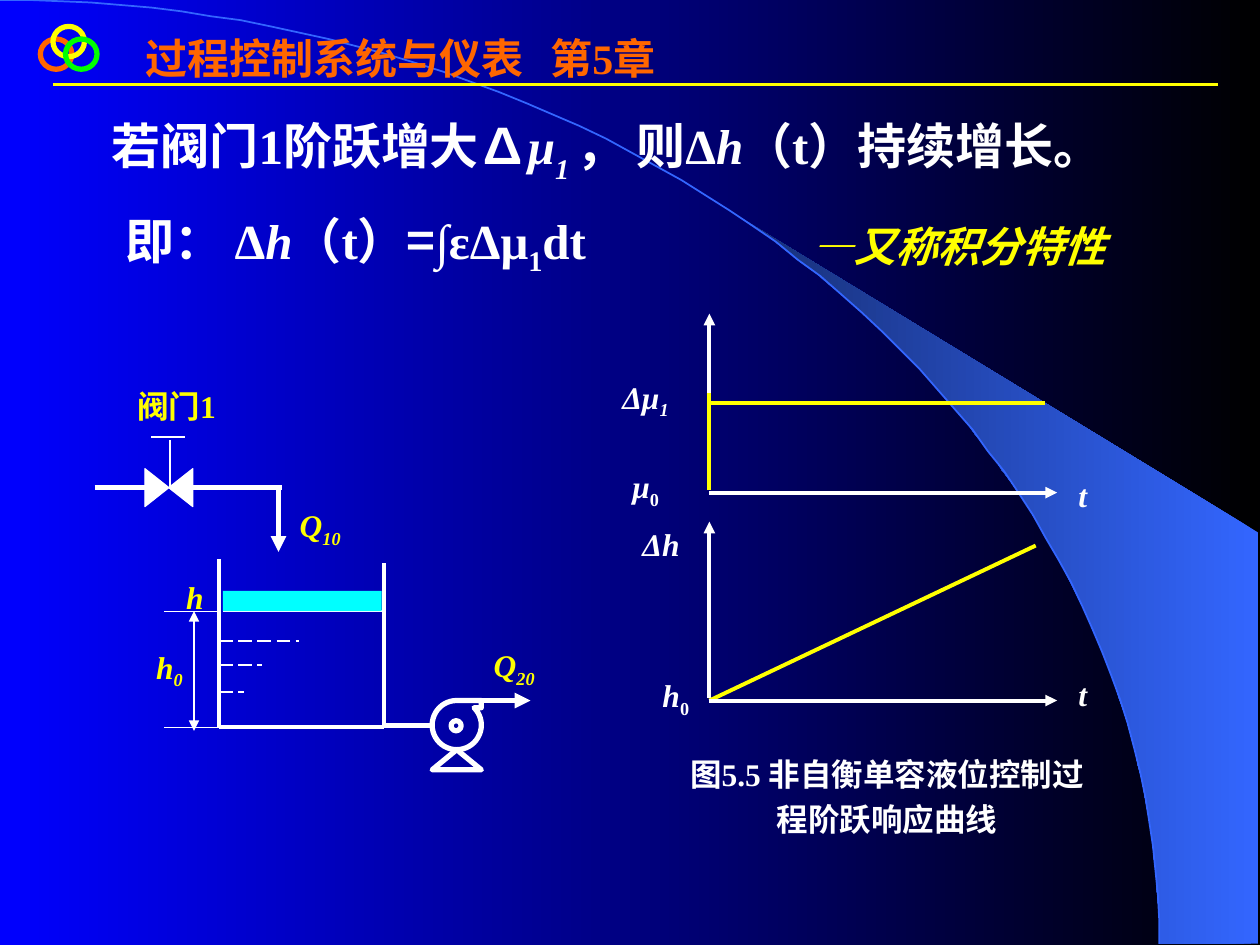
from dataclasses import dataclass
from math import acos, cos, pi, sin
from typing import NamedTuple, Optional

from lxml.etree import SubElement
from pptx import Presentation
from pptx.dml.color import RGBColor
from pptx.enum.dml import MSO_LINE
from pptx.enum.shapes import MSO_CONNECTOR, MSO_SHAPE as Preset
from pptx.enum.text import PP_ALIGN as Align
from pptx.oxml.ns import qn
from pptx.util import Pt

PX = 9144  # EMU per px, 100 px to the inch
WIDTH, HEIGHT = 1000, 750
LATIN, CJK = "Times New Roman", "Noto Sans CJK SC"

BLACK = RGBColor(0x00, 0x00, 0x00)
BLUE = RGBColor(0x00, 0x00, 0xFF)
SKY = RGBColor(0x33, 0x66, 0xFF)
NAVY = RGBColor(0x17, 0x2F, 0x75)
WHITE = RGBColor(0xFF, 0xFF, 0xFF)
YELLOW = RGBColor(0xFF, 0xFF, 0x00)
ORANGE = RGBColor(0xFF, 0x66, 0x00)
GREEN = RGBColor(0x00, 0xFF, 0x00)
CYAN = RGBColor(0x00, 0xFF, 0xFF)


class Piece(NamedTuple):
    text: str
    italic: bool = False
    drop: int = 0  # subscript depth in percent
    font: str = LATIN


@dataclass
class Text:
    box: tuple[int, int, int, int]
    pieces: list[Piece]
    color: RGBColor = WHITE
    size: int = 18
    spacing: float = 1.2
    align: Align = Align.LEFT
    indent: int = 0
    tab: int = 0


@dataclass
class Line:
    start: tuple[int, int]
    end: tuple[int, int]
    weight: float = 2.25
    color: RGBColor = WHITE
    head: bool = False
    tail: bool = False
    dashed: bool = False


@dataclass
class Figure:
    preset: Preset
    box: tuple[int, int, int, int]
    fill: Optional[RGBColor] = None
    line: Optional[RGBColor] = WHITE
    weight: float = 3
    rotation: int = 0
    flipped: bool = False


def paint_gradient(fill, first: RGBColor, last: RGBColor) -> None:
    fill.gradient()
    fill.gradient_angle = 180
    for stop, color in zip(fill.gradient_stops, (first, last)):
        stop.color.rgb = color


def draw_text(shapes, text: Text) -> None:
    frame = shapes.add_textbox(*(v * PX for v in text.box)).text_frame
    frame.word_wrap = True
    paragraph = frame.paragraphs[0]
    paragraph.alignment = text.align
    paragraph.line_spacing = text.spacing
    props = paragraph._p.get_or_add_pPr()
    if text.indent:
        props.set("indent", str(text.indent * PX))
    if text.tab:
        tabs = SubElement(props, qn("a:tabLst"))
        SubElement(tabs, qn("a:tab"), pos=str(text.tab * PX), algn="l")
    for piece in text.pieces:
        run = paragraph.add_run()
        run.text = piece.text
        font = run.font
        font.size, font.bold, font.italic = Pt(text.size), True, piece.italic
        font.color.rgb = text.color
        font.name = piece.font
        run_props = run._r.get_or_add_rPr()
        SubElement(run_props, qn("a:ea"), typeface=CJK)
        if piece.drop:
            run_props.set("baseline", str(-1000 * piece.drop))


def draw_line(shapes, line: Line) -> None:
    ends = (v * PX for v in line.start + line.end)
    connector = shapes.add_connector(MSO_CONNECTOR.STRAIGHT, *ends)
    connector.line.color.rgb = line.color
    connector.line.width = Pt(line.weight)
    if line.dashed:
        connector.line.dash_style = MSO_LINE.LONG_DASH
    props = connector._element.spPr
    outline = props.find(qn("a:ln"))
    for wanted, tag in ((line.head, "a:headEnd"), (line.tail, "a:tailEnd")):
        if wanted:
            SubElement(outline, qn(tag), type="triangle")
    SubElement(props, qn("a:effectLst"))


def draw_figure(shapes, figure: Figure) -> None:
    shape = shapes.add_shape(figure.preset, *(v * PX for v in figure.box))
    shape.shadow.inherit = False
    shape.rotation = figure.rotation
    if figure.flipped:
        shape._element.spPr.find(qn("a:xfrm")).set("flipV", "1")
    if figure.fill is None:
        shape.fill.background()
    else:
        shape.fill.solid()
        shape.fill.fore_color.rgb = figure.fill
    if figure.line is None:
        shape.line.fill.background()
    else:
        shape.line.color.rgb = figure.line
        shape.line.width = Pt(figure.weight)


def horizon(start: float, steps: int = 60) -> list[tuple[float, float]]:
    """Points on the quarter ellipse, from a start angle to the bottom edge."""
    angles = (start + (pi / 2 - start) * i / steps for i in range(steps + 1))
    return [(920 * sin(a), 749 * (1 - cos(a))) for a in angles]


def draw_outline(shapes, points, close: bool):
    builder = shapes.build_freeform(*points[0], scale=PX)
    builder.add_line_segments(points[1:], close=close)
    shape = builder.convert_to_shape()
    shape.shadow.inherit = False
    return shape


def draw_backdrop(slide) -> None:
    paint_gradient(slide.background.fill, BLACK, BLUE)
    glow_edge = horizon(acos(1 - 173 / 749))
    glow = draw_outline(slide.shapes, glow_edge + [(999, 749), (999, 423)], True)
    paint_gradient(glow.fill, SKY, NAVY)
    glow.line.fill.background()
    arc = draw_outline(slide.shapes, horizon(0), False)
    arc.fill.background()
    arc.line.color.rgb = SKY
    arc.line.width = Pt(1)


def label(box, name: str, sub: str = "", color=WHITE, sub_italic=False, **style) -> Text:
    pieces = [Piece(name, True)] + ([Piece(sub, sub_italic, 25)] if sub else [])
    return Text(box, pieces, color, **style)


HEADER = [
    Figure(Preset.OVAL, (x, y, 25, 24), line=color)
    for x, y, color in ((32, 31, ORANGE), (42, 21, YELLOW), (52, 31, GREEN))
] + [
    Line((42, 67), (967, 67), 1.5, YELLOW),
    Text((106, 21, 449, 90), [Piece("过程控制系统与仪表\t第5章")], ORANGE, 24, 1.0, tab=321),
]

STATEMENT = [
    Text((90, 162, 536, 63), [
        Piece("即： Δ"), Piece("h", True), Piece("（t）"), Piece("=", font=CJK),
        Piece("∫εΔμ"), Piece("1", drop=25), Piece("dt"),
    ], size=28, spacing=1.0),
    Text((634, 162, 307, 58), [Piece("—又称积分特性", True)], YELLOW, 24),
    Text((27, 76, 921, 132), [
        Piece("若阀门1阶跃增大∆"), Piece("μ", True), Piece("1 ", True, 30),
        Piece("， 则Δ"), Piece("h", True), Piece("（t）持续增长。"),
    ], size=28, indent=52),
]

TANK = [
    # Inlet pipe and valve
    Line((75, 387), (115, 387), 3),
    Line((153, 387), (224, 387), 3),
    Line((221, 387), (221, 438), 3, tail=True),
    Figure(Preset.FLOWCHART_COLLATE, (119, 368, 30, 38), WHITE, weight=0.75, rotation=270),
    Line((135, 387), (135, 349), 1.5),
    Line((120, 347), (147, 347), 1.5),
    # Tank walls, water and level marks
    Line((174, 444), (174, 577)),
    Line((305, 447), (305, 577)),
    Line((174, 577), (305, 577)),
    Line((177, 485), (303, 485), 1),
    *(Line((174, y), (end, y), 1, dashed=True) for y, end in ((509, 237), (528, 208), (549, 194))),
    *(Line((174, y), (130, y), 0.5) for y in (485, 577)),
    Line((154, 485), (154, 580), 0.75, head=True, tail=True),
    Figure(Preset.RECTANGLE, (177, 469, 126, 16), CYAN, None),
    # Pump and outlet
    Line((305, 576), (343, 576), 3),
    Line((382, 556), (421, 556), 3, tail=True),
    Figure(Preset.FLOWCHART_SEQUENTIAL_ACCESS_STORAGE, (343, 556, 39, 39), flipped=True),
    Figure(Preset.ISOSCELES_TRIANGLE, (343, 595, 39, 16)),
    Figure(Preset.FLOWCHART_CONNECTOR, (358, 572, 8, 8)),
    # Labels
    Text((99, 296, 118, 32), [Piece("阀门1")], YELLOW),
    label((228, 390, 83, 44), "Q", "10", YELLOW, True),
    label((382, 501, 63, 44), "Q", "20", YELLOW, True),
    label((138, 454, 63, 31), "h", color=YELLOW, spacing=1.0),
    label((114, 509, 63, 31), "h", "0", YELLOW, True, spacing=1.0),
]

CURVES = [
    # Vertical axes, step and ramp, then time axes
    Line((563, 388), (563, 249), tail=True),
    Line((563, 554), (563, 414), tail=True),
    Line((563, 389), (563, 312), color=YELLOW),
    Line((563, 320), (829, 320), color=YELLOW),
    Line((563, 556), (822, 433), color=YELLOW),
    *(Line((563, y), (839, y), tail=True) for y in (391, 556)),
    # Labels and caption
    *(label((846, y, 52, 34), "t") for y in (367, 525)),
    label((484, 288, 85, 36), "Δμ", "1", sub_italic=True),
    label((492, 359, 60, 33), "μ", "0"),
    label((500, 406, 65, 34), "Δh"),
    label((516, 525, 60, 34), "h", "0"),
    Text((531, 588, 346, 87), [Piece("图5.5 非自衡单容液位控制过程阶跃响应曲线")], align=Align.CENTER),
]

DRAWERS = {Text: draw_text, Line: draw_line, Figure: draw_figure}


def main() -> None:
    deck = Presentation()
    deck.slide_width, deck.slide_height = WIDTH * PX, HEIGHT * PX
    slide = deck.slides.add_slide(deck.slide_layouts[6])
    draw_backdrop(slide)
    for item in HEADER + STATEMENT + TANK + CURVES:
        DRAWERS[type(item)](slide.shapes, item)
    deck.save("out.pptx")


if __name__ == "__main__":
    main()
